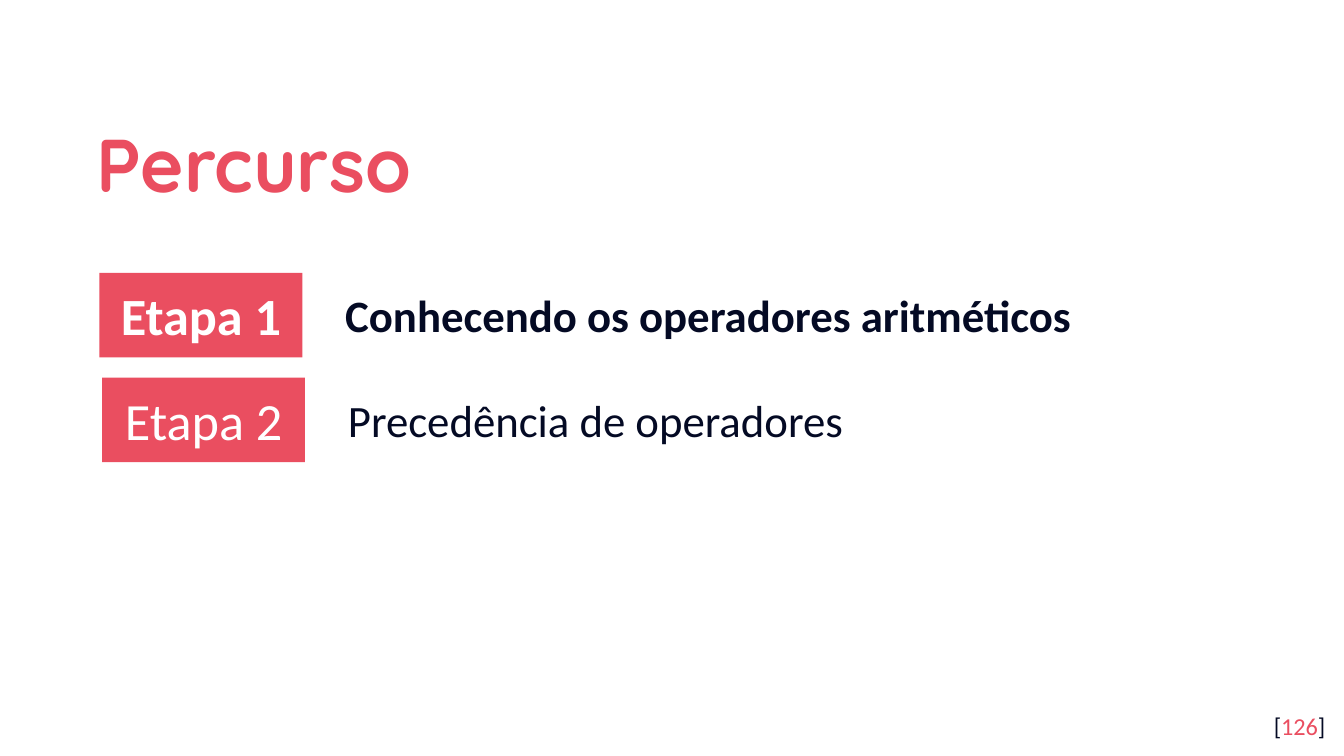
import pptx
import pptx.util
import pptx.dml.color
import pptx.enum.shapes
import pptx.enum.text

Inches = pptx.util.Inches
RGBColor = pptx.dml.color.RGBColor
ALIGN = pptx.enum.text.PP_ALIGN
ANCHOR = pptx.enum.text.MSO_ANCHOR

CORAL = RGBColor(0xEA, 0x4E, 0x60)
NAVY = RGBColor(0x04, 0x0A, 0x24)
WHITE = RGBColor(0xFF, 0xFF, 0xFF)

SLIDE_WIDTH = 10
LABEL_HEIGHT = 0.63
TOPIC_HEIGHT = 0.5


def write_text(shape, runs, font, align=ALIGN.LEFT, anchor=ANCHOR.TOP,
               margin=0.1, spacing=1.0):
    """Fill a shape with one paragraph; runs are (text, colour) pairs."""
    tf = shape.text_frame
    frame = {
        "word_wrap": True, "vertical_anchor": anchor,
        "margin_left": Inches(0.1), "margin_right": Inches(0.1),
        "margin_top": Inches(margin), "margin_bottom": Inches(margin),
    }
    for name, value in frame.items():
        setattr(tf, name, value)
    p = tf.paragraphs[0]
    p.alignment = align
    p.line_spacing = spacing
    for text, color in runs:
        r = p.add_run()
        r.text = text
        for name, value in font.items():
            setattr(r.font, name, value)
        r.font.color.rgb = color


def font_format(size, bold=False, name="Calibri"):
    return {"name": name, "size": pptx.util.Pt(size), "bold": bold}


def add_text(s, box, runs, font, **layout):
    sp = s.shapes.add_textbox(*map(Inches, box))
    write_text(sp, runs, font, **layout)


def add_step(s, left, top, label, topic, bold):
    # Coloured label
    sp = s.shapes.add_shape(pptx.enum.shapes.MSO_SHAPE.RECTANGLE,
                            Inches(left), Inches(top), Inches(1.51), Inches(LABEL_HEIGHT))
    sp.shadow.inherit = False
    sp.fill.solid()
    sp.fill.fore_color.rgb = CORAL
    sp.line.fill.background()
    write_text(sp, [(label, WHITE)], font_format(28, bold),
               align=ALIGN.CENTER, anchor=ANCHOR.MIDDLE)
    # Topic beside it, centred on the label's height
    topic_top = top + (LABEL_HEIGHT - TOPIC_HEIGHT) / 2
    add_text(s, (left + 1.73, topic_top, 6.75, TOPIC_HEIGHT), [(topic, NAVY)],
             font_format(24, bold), margin=0.05)


def main():
    prs = pptx.Presentation()
    prs.slide_width = Inches(SLIDE_WIDTH)
    prs.slide_height = Inches(SLIDE_WIDTH * 9 / 16)
    s = prs.slides.add_slide(prs.slide_layouts[6])
    s.background.fill.solid()
    s.background.fill.fore_color.rgb = WHITE

    # Title
    add_text(s, (0.62, 0.7, 8.1, 0.92), [("Percurso", CORAL)],
             font_format(40, True, "Quicksand"), anchor=ANCHOR.MIDDLE, spacing=1.15)

    # Steps, with the current one in bold
    add_step(s, 0.74, 2.03, "Etapa 1", "Conhecendo os operadores aritméticos", True)
    add_step(s, 0.76, 2.81, "Etapa 2", "Precedência de operadores", False)

    # Page number
    add_text(s, (9.36, 5.19, 0.6, 0.43), [("[", NAVY), ("126", CORAL), ("]", NAVY)],
             font_format(13), align=ALIGN.RIGHT)

    prs.save("out.pptx")


if __name__ == "__main__":
    main()
